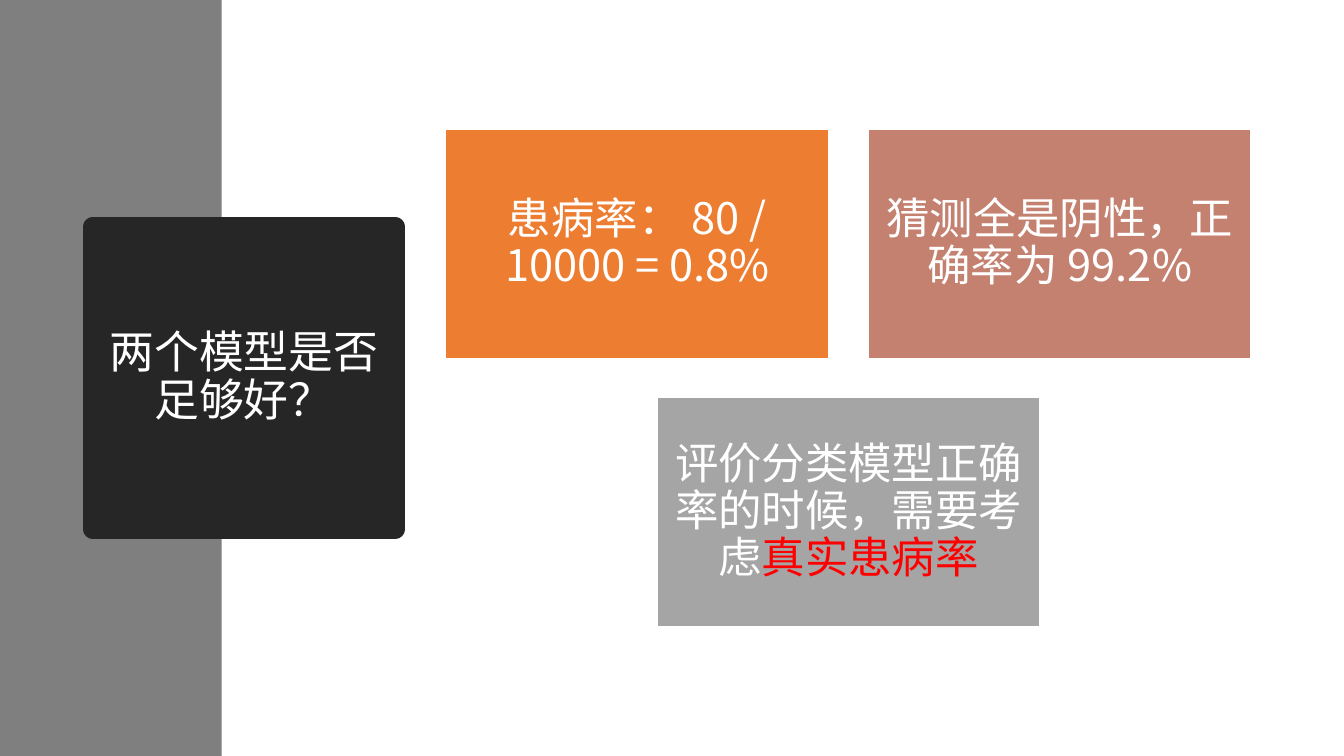
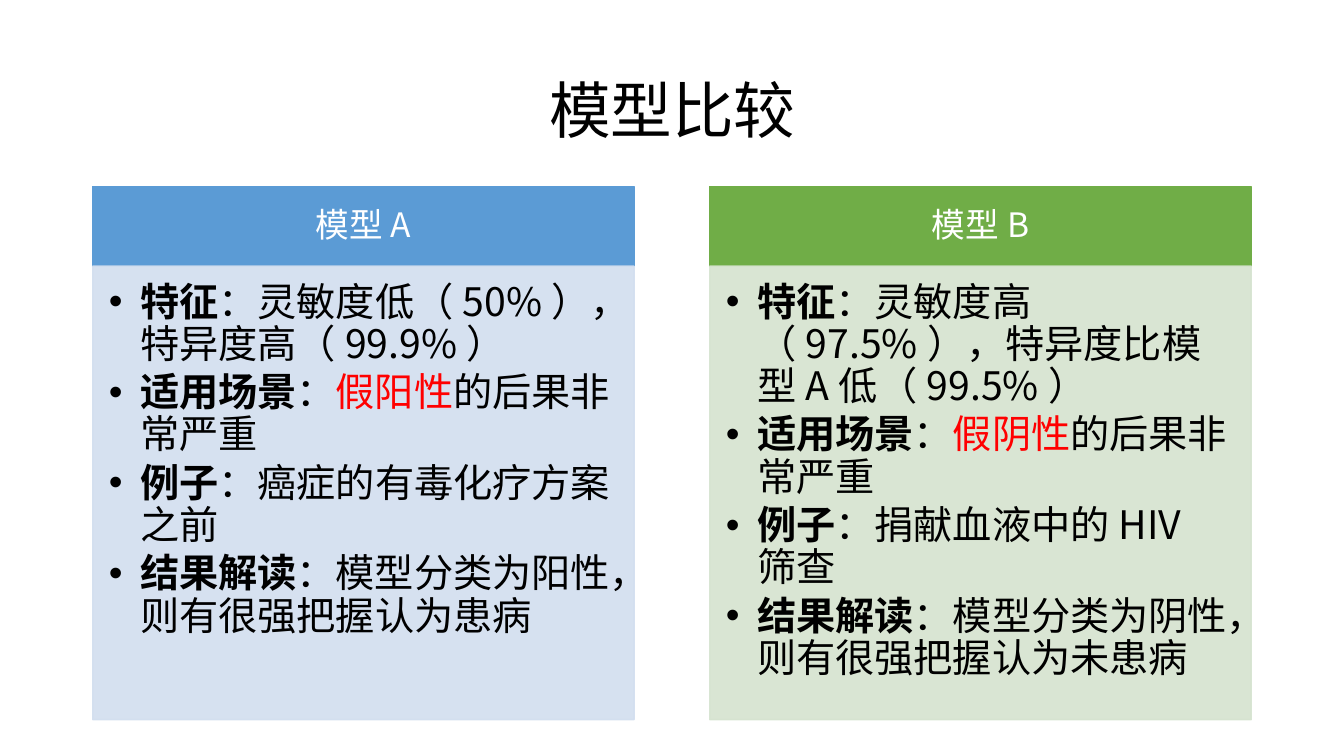
from lxml import etree
from pptx import Presentation
from pptx.dml.color import RGBColor
from pptx.enum import shapes, text
from pptx.oxml.ns import qn
from pptx.util import Inches, Pt

FONT = "Noto Sans CJK SC"
COLORS = {
    "white": "FFFFFF", "black": "000000", "red": "FF0000",
    "band": "7F7F7F", "dark": "262626",
    "orange": "ED7D31", "rose": "C48170", "gray": "A5A5A5",
    "blue": "5B9BD5", "sky": "D2DEEF", "green": "70AD47", "mint": "D5E3CF",
}
MID = text.MSO_ANCHOR.MIDDLE
TOP = text.MSO_ANCHOR.TOP


class Deck:
    def __init__(self):
        self.prs = Presentation()
        self.prs.slide_width = Inches(13.33)
        self.prs.slide_height = Inches(7.5)
        self.slide = None

    def start(self):
        self.slide = self.prs.slides.add_slide(self.prs.slide_layouts[5])

    def paint(self, shape, fill, line=None, width=1, alpha=None):
        """Set fill and outline; alpha is the opacity in percent."""
        shape.fill.solid()
        shape.fill.fore_color.rgb = RGBColor.from_string(COLORS[fill])
        if line:
            shape.line.color.rgb = RGBColor.from_string(COLORS[line])
            shape.line.width = Pt(width)
        else:
            shape.line.fill.background()
        if alpha:
            for clr in shape._element.spPr.iter(qn("a:srgbClr")):
                etree.SubElement(clr, qn("a:alpha"), val=str(alpha * 1000))

    def run(self, para, words, size, color, bold=False):
        run = para.add_run()
        run.text = words
        font = run.font
        font.size, font.bold, font.name = Pt(size), bold, FONT
        font.color.rgb = RGBColor.from_string(COLORS[color])
        props = run._r.get_or_add_rPr()
        props.set("lang", "zh-CN")
        etree.SubElement(props, qn("a:ea"), typeface=FONT)

    def frame(self, shape, pads, anchor=MID):
        """Prepare the text frame; pads are left, top, right, bottom."""
        frame = shape.text_frame
        frame.word_wrap = True
        frame.auto_size = text.MSO_AUTO_SIZE.NONE
        frame.vertical_anchor = anchor
        (frame.margin_left, frame.margin_top,
         frame.margin_right, frame.margin_bottom) = map(Inches, pads)
        return frame

    def center(self, shape, runs, size, pads):
        """Write one centred paragraph of (words, colour) runs."""
        para = self.frame(shape, pads).paragraphs[0]
        para.alignment = text.PP_ALIGN.CENTER
        para.line_spacing = 0.9
        for words, color in runs:
            self.run(para, words, size, color)

    def title(self, words, place, size, color):
        shape = self.slide.shapes.title
        shape.left, shape.top, shape.width, shape.height = map(Inches, place)
        self.center(shape, [(words, color)], size, (0.1, 0.05, 0.1, 0.05))
        return shape

    def rect(self, place, fill, line=None, alpha=None):
        shape = self.slide.shapes.add_shape(
            shapes.MSO_SHAPE.RECTANGLE, *map(Inches, place))
        shape.shadow.inherit = False
        self.paint(shape, fill, line, alpha=alpha)
        return shape

    def band(self, width):
        shape = self.rect((0, 0, width, 7.5), "band")
        self.slide.shapes._spTree.insert(2, shape._element)

    def bullets(self, shape, items):
        """Write items, each a bold label followed by (words, colour) runs."""
        frame = self.frame(shape, (0.16, 0.16, 0.22, 0.24), TOP)
        for i, (label, runs) in enumerate(items):
            para = frame.add_paragraph() if i else frame.paragraphs[0]
            para.alignment = text.PP_ALIGN.LEFT
            para.line_spacing = 0.9
            para.space_after = Pt(4.2)
            props = para._p.get_or_add_pPr()
            props.set("marL", str(Inches(0.31)))
            props.set("indent", str(-Inches(0.31)))
            etree.SubElement(props, qn("a:buFont"), typeface="Arial")
            etree.SubElement(props, qn("a:buChar"), char="•")
            self.run(para, label, 28, "black", True)
            for words, color in runs:
                self.run(para, words, 28, color)

    def column(self, left, name, head, body, items):
        width, top, high = 5.37, 1.85, 0.79
        bar = self.rect((left, top, width, high), head, head)
        self.center(bar, [(name, "white")], 24, (0.19, 0.11, 0.19, 0.11))
        panel = self.rect((left, top + high, width, 4.5), body, body, 90)
        self.bullets(panel, items)


def question(deck):
    deck.start()
    deck.band(2.2)
    title = deck.title("两个模型是否足够好？", (0.92, 2.25, 3, 3), 32, "white")
    deck.paint(title, "dark", "dark", 13.75)
    cards = [
        (0, 0, "orange", [("患病率：80 / 10000 = 0.8%", "white")]),
        (1, 0, "rose", [("猜测全是阴性，正确率为99.2%", "white")]),
        (0.5, 1, "gray", [("评价分类模型正确率的时候，需要考虑", "white"),
                          ("真实患病率", "red")]),
    ]
    for col, row, fill, runs in cards:
        place = (4.42 + col * 4.19, 1.28 + row * 2.66, 3.8, 2.28)
        deck.center(deck.rect(place, fill, "white"), runs, 31, (0.13,) * 4)


def compare(deck):
    deck.start()
    deck.title("模型比较", (0.92, 0.4, 11.5, 1.45), 44, "black")
    models = [
        ("模型A", "blue", "sky", "灵敏度低（50%），特异度高（99.9%）", "假阳性",
         "癌症的有毒化疗方案之前", "模型分类为阳性，则有很强把握认为患病"),
        ("模型B", "green", "mint", "灵敏度高（97.5%），特异度比模型A低（99.5%）", "假阴性",
         "捐献血液中的HIV筛查", "模型分类为阴性，则有很强把握认为未患病"),
    ]
    for i, (name, head, body, trait, error, case, result) in enumerate(models):
        items = [
            ("特征", [("：" + trait, "black")]),
            ("适用场景", [("：", "black"), (error, "red"),
                      ("的后果非常严重", "black")]),
            ("例子", [("：" + case, "black")]),
            ("结果解读", [("：" + result, "black")]),
        ]
        deck.column(0.92 + i * 6.12, name, head, body, items)


def main():
    deck = Deck()
    question(deck)
    compare(deck)
    deck.prs.save("out.pptx")


if __name__ == "__main__":
    main()
